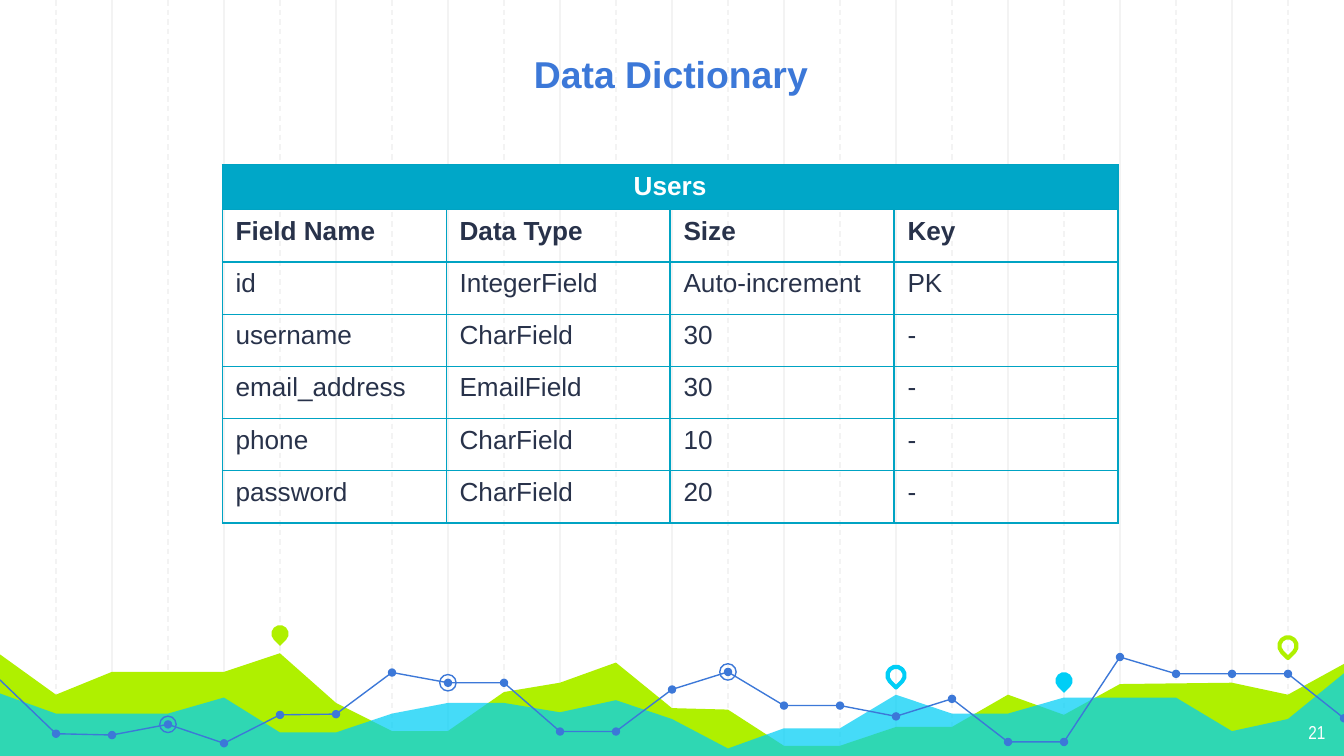
import pptx
import pptx.util
import pptx.dml.color
import pptx.enum.dml
import pptx.enum.shapes
import pptx.enum.text
import pptx.oxml
import pptx.oxml.ns
import lxml.etree

Pt = pptx.util.Pt
RGBColor = pptx.dml.color.RGBColor
Shape = pptx.enum.shapes.MSO_SHAPE
Align = pptx.enum.text.PP_ALIGN
Anchor = pptx.enum.text.MSO_ANCHOR

WHITE = RGBColor(0xFF, 0xFF, 0xFF)
GRID_GREY = RGBColor(0xF3, 0xF3, 0xF3)
LIME = RGBColor(0xAF, 0xF0, 0x00)
CYAN = RGBColor(0x00, 0xCE, 0xF6)
BLUE = RGBColor(0x3C, 0x78, 0xD8)
HEADER_TEAL = RGBColor(0x00, 0xA7, 0xC8)
BORDER_TEAL = RGBColor(0x00, 0xA3, 0xC3)
INK = RGBColor(0x28, 0x32, 0x4A)

WIDTH, HEIGHT, STEP = 720, 405, 30

LIME_HEIGHTS = {0: 20.6, 1: 42.2, 2: 30, 4: 30, 5: 20, 6: 46.6, 7: 61.7, 8: 61.7, 9: 40.8,
                10: 35.8, 11: 25, 12: 49.4, 13: 50.2, 14: 69.6, 15: 69.6, 16: 59.5, 17: 59.5,
                18: 42.2, 19: 53, 20: 36.5, 22: 35.8, 23: 42.2, 24: 25.7}
CYAN_HEIGHTS = {0: 41.5, 1: 52.3, 3: 52.3, 4: 43.7, 5: 62.4, 6: 62.4, 7: 52.3, 8: 46.6, 9: 46.6,
                10: 51.6, 11: 45.1, 12: 55.2, 13: 71, 14: 60.2, 15: 60.2, 16: 42.2, 17: 52.3,
                18: 52.3, 19: 43.7, 21: 43.7, 22: 61.7, 23: 55.2, 24: 30.7}
LINE_HEIGHTS = [34.3, 63.1, 63.8, 58.1, 68.2, 53, 52.6, 30.3, 35.8, 35.8, 61.9, 61.9, 39.4,
                30, 48, 48, 53.8, 44.4, 67.5, 67.5, 22, 31, 31, 31, 54.8]
RINGED_POINTS = [3, 8, 13]
PINS = [(5, 9.5, LIME, True), (16, 31.8, CYAN, False),
        (19, 34.7, CYAN, True), (23, 16, LIME, False)]

USERS_ROWS = [
    ["Field Name", "Data Type", "Size", "Key"],
    ["id", "IntegerField", "Auto-increment", "PK"],
    ["username", "CharField", "30", "-"],
    ["email_address", "EmailField", "30", "-"],
    ["phone", "CharField", "10", "-"],
    ["password", "CharField", "20", "-"],
]


def paint(shape, fill=None, line=None, line_width=0.75):
    shape.shadow.inherit = False
    if fill is None:
        shape.fill.background()
    else:
        shape.fill.solid()
        shape.fill.fore_color.rgb = fill
    if line is None:
        shape.line.fill.background()
    else:
        shape.line.color.rgb = line
        shape.line.width = Pt(line_width)


def add_run(paragraph, text, size, color, bold=False, font="Arial"):
    run = paragraph.add_run()
    run.text = text
    run.font.size = Pt(size)
    run.font.name = font
    run.font.bold = bold
    run.font.color.rgb = color


def set_insets(text_frame, inset):
    text_frame.margin_left = text_frame.margin_right = Pt(inset)
    text_frame.margin_top = text_frame.margin_bottom = Pt(inset)


def add_grid(slide, left, top, width, height):
    for index in range(1, width // STEP):
        x = Pt(left + index * STEP)
        line = slide.shapes.add_connector(
            pptx.enum.shapes.MSO_CONNECTOR.STRAIGHT, x, Pt(top), x, Pt(top + height))
        line.line.color.rgb = GRID_GREY
        line.line.width = Pt(0.75)
        if index % 2:
            line.line.dash_style = pptx.enum.dml.MSO_LINE.DASH
        lxml.etree.SubElement(line._element.spPr, pptx.oxml.ns.qn("a:effectLst"))


def add_path(slide, points, close):
    points = [(Pt(x), Pt(y)) for x, y in points]
    builder = slide.shapes.build_freeform(*points[0])
    builder.add_line_segments(points[1:], close=close)
    return builder.convert_to_shape()


def add_centered(slide, kind, x, y, size):
    return slide.shapes.add_shape(
        kind, Pt(x - size / 2), Pt(y - size / 2), Pt(size), Pt(size))


def add_landscape(slide, left, top, width, height):
    def place(index, y):
        return left + index * STEP, top + y

    corners = [(left + width, top + height), (left, top + height)]
    for heights, color in ((LIME_HEIGHTS, LIME), (CYAN_HEIGHTS, CYAN)):
        ridge = [place(index, y) for index, y in heights.items()]
        area = add_path(slide, ridge + corners, True)
        paint(area, fill=color)
    fill_color = area._element.spPr.find(".//" + pptx.oxml.ns.qn("a:srgbClr"))
    lxml.etree.SubElement(fill_color, pptx.oxml.ns.qn("a:alpha")).set("val", "73000")

    for index, y, color, filled in PINS:
        pin = add_centered(slide, Shape.TEAR, *place(index, y), 9.2)
        pin.rotation = 135
        if filled:
            paint(pin, fill=color)
        else:
            paint(pin, line=color, line_width=2.25)

    points = [place(index, y) for index, y in enumerate(LINE_HEIGHTS)]
    paint(add_path(slide, points, False), line=BLUE)
    for point in points[1:]:
        paint(add_centered(slide, Shape.OVAL, *point, 4.5), fill=BLUE)
    for index in RINGED_POINTS:
        paint(add_centered(slide, Shape.OVAL, *points[index], 8.8), line=BLUE)


def add_title(slide, left, top, width, height):
    title = slide.shapes.title
    title.left, title.top, title.width, title.height = map(Pt, (left, top, width, height))
    frame = title.text_frame
    frame.auto_size = pptx.enum.text.MSO_AUTO_SIZE.NONE
    frame.vertical_anchor = Anchor.BOTTOM
    set_insets(frame, 7.2)
    frame.paragraphs[0].alignment = Align.CENTER
    add_run(frame.paragraphs[0], "Data Dictionary", 20, BLUE, bold=True)
    slide.shapes._spTree.append(title._element)


def add_slide_number(slide, left, top, width, height):
    frame = slide.shapes.add_textbox(*map(Pt, (left, top, width, height))).text_frame
    frame.word_wrap = True
    set_insets(frame, 7.2)
    frame.paragraphs[0].alignment = Align.RIGHT
    add_run(frame.paragraphs[0], "21", 10, WHITE, font="Arial Narrow")


def format_cell(cell, fill=None):
    properties = cell._tc.get_or_add_tcPr()
    for side in ("lnL", "lnR", "lnT", "lnB"):
        properties.append(pptx.oxml.parse_xml(
            f'<a:{side} {pptx.oxml.ns.nsdecls("a")} w="{Pt(0.75)}"><a:solidFill>'
            f'<a:srgbClr val="{BORDER_TEAL}"/></a:solidFill></a:{side}>'))
    if fill is None:
        cell.fill.background()
    else:
        cell.fill.solid()
        cell.fill.fore_color.rgb = fill


def add_users_table(slide, left, top, width, header_height, row_height):
    row_count, column_count = len(USERS_ROWS) + 1, len(USERS_ROWS[0])
    height = header_height + row_height * len(USERS_ROWS)
    table = slide.shapes.add_table(
        row_count, column_count, *map(Pt, (left, top, width, height))).table
    table.first_row = table.horz_banding = False
    for column in table.columns:
        column.width = Pt(width / column_count)
    for index, row in enumerate(table.rows):
        row.height = Pt(row_height if index else header_height)

    header = table.cell(0, 0)
    header.merge(table.cell(0, column_count - 1))
    for column in range(column_count):
        format_cell(table.cell(0, column), HEADER_TEAL)
    header.text_frame.paragraphs[0].alignment = Align.CENTER
    add_run(header.text_frame.paragraphs[0], "Users", 14, WHITE, bold=True)

    for row, values in enumerate(USERS_ROWS, start=1):
        for column, value in enumerate(values):
            cell = table.cell(row, column)
            format_cell(cell)
            add_run(cell.text_frame.paragraphs[0], value, 14, INK, bold=row == 1)


def main():
    presentation = pptx.Presentation()
    presentation.slide_width, presentation.slide_height = Pt(WIDTH), Pt(HEIGHT)
    slide = presentation.slides.add_slide(presentation.slide_layouts[5])
    slide.background.fill.solid()
    slide.background.fill.fore_color.rgb = WHITE
    add_grid(slide, 0, 0, WIDTH, HEIGHT)
    add_landscape(slide, 0, 330, WIDTH, HEIGHT - 330)
    add_slide_number(slide, 674, 380, 43, 25)
    add_users_table(slide, 119, 88.3, 480, 23, 28)
    add_title(slide, 84, 26, 551, 32.4)
    presentation.save("out.pptx")


if __name__ == "__main__":
    main()
